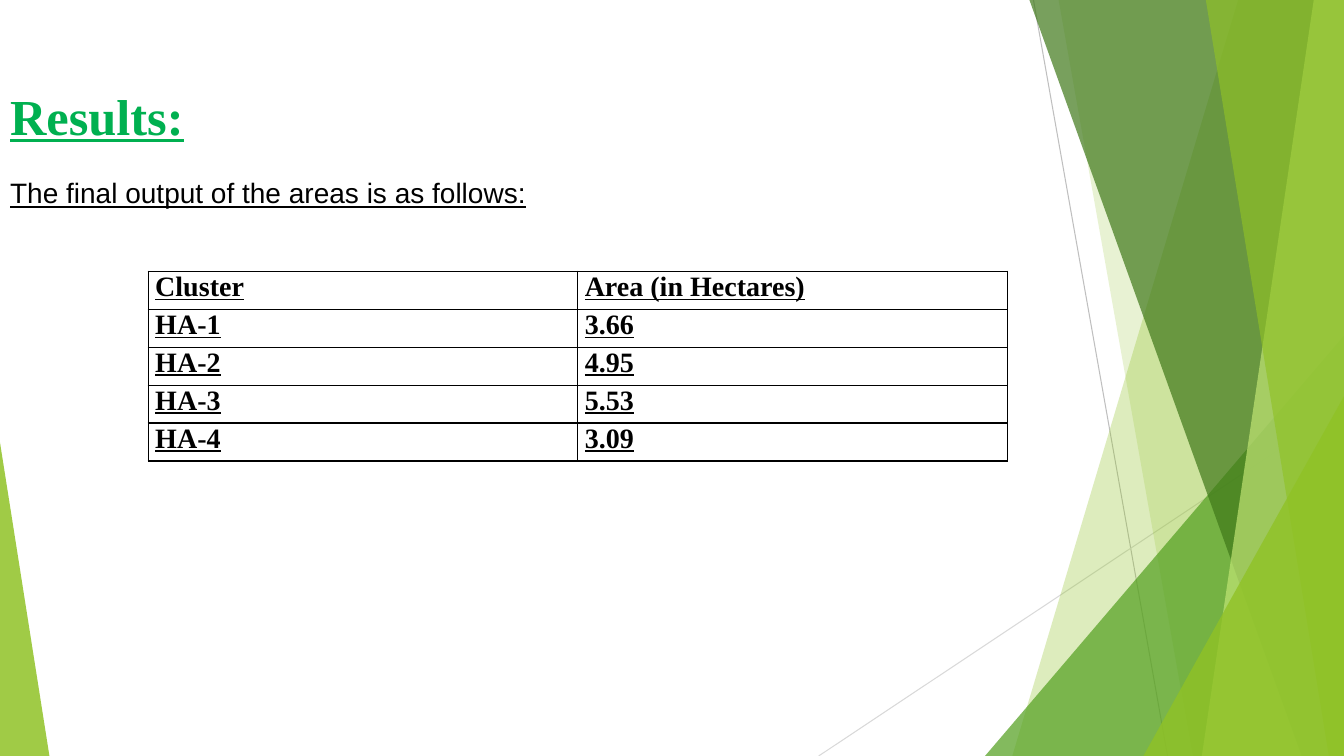
import pptx
import pptx.dml.color
import pptx.enum.shapes
import pptx.enum.text
import pptx.oxml
import pptx.oxml.ns
import pptx.util
import lxml.etree

Inches = pptx.util.Inches
Pt = pptx.util.Pt
qn = pptx.oxml.ns.qn
WIDTH, HEIGHT = 13.33, 7.5


def paint(color_format, hex_color, opacity=100):
    """Set a solid colour, with opacity in percent."""
    color_format.rgb = pptx.dml.color.RGBColor.from_string(hex_color)
    if opacity < 100:
        color_node = next(color_format._xFill.iter(qn("a:srgbClr")))
        lxml.etree.SubElement(color_node, qn("a:alpha"), val=str(opacity * 1000))


def write(text_frame, text, **font_values):
    """Write one left-aligned, underlined paragraph."""
    text_frame.text = text
    paragraph = text_frame.paragraphs[0]
    paragraph.alignment = pptx.enum.text.PP_ALIGN.LEFT
    paragraph.space_before = Pt(0)
    color = font_values.pop("color", "000000")
    font = paragraph.runs[0].font
    for name, value in {"underline": True, **font_values}.items():
        setattr(font, name, value)
    paint_target = font.fill
    paint_target.solid()
    paint(font.color, color)
    return paragraph


presentation = pptx.Presentation()
presentation.slide_width = Inches(WIDTH)
presentation.slide_height = Inches(HEIGHT)
slide = presentation.slides.add_slide(presentation.slide_layouts[1])
shapes = slide.shapes

# Thin lines behind the facets
for x1, y1, x2, y2, color in [
    (10.25, 0, 11.58, HEIGHT, "BFBFBF"),
    (WIDTH, 4.03, 8.12, HEIGHT, "D9D9D9"),
]:
    line = shapes.add_connector(
        pptx.enum.shapes.MSO_CONNECTOR.STRAIGHT,
        Inches(x1), Inches(y1), Inches(x2), Inches(y2))
    line.line.width = Pt(0.75)
    paint(line.line.color, color)
    lxml.etree.SubElement(line._element.spPr, qn("a:effectLst"))

# Facets, back to front: bands run from a top x to a bottom x and fill to the
# right edge; triangles stand on the bottom edge with the apex at one side
facets = [
    ("band", (12.28, 10.04), "90C226", 30),
    ("band", (10.5, 11.83), "90C226", 20),
    ("triangle", (9.77, 3.33, 3.56, 1), "54A021", 72),
    ("band", (10.21, 12.91), "3F7819", 70),
    ("band", (13.03, 11.92), "C0E474", 70),
    ("band", (11.96, 13.18), "90C226", 65),
    ("triangle", (11.34, 3.93, 1.99, 1), "90C226", 80),
    ("triangle", (0, 4.39, 0.49, 0), "90C226", 85),
]
for kind, geometry, color, opacity in facets:
    if kind == "band":
        top_x, bottom_x = geometry
        builder = shapes.build_freeform(Inches(top_x), 0)
        corners = [(WIDTH, 0), (WIDTH, HEIGHT), (bottom_x, HEIGHT)]
        builder.add_line_segments([(Inches(x), Inches(y)) for x, y in corners])
        facet = builder.convert_to_shape()
    else:
        left, top, width, apex = geometry
        facet = shapes.add_shape(
            pptx.enum.shapes.MSO_SHAPE.ISOSCELES_TRIANGLE,
            Inches(left), Inches(top), Inches(width), Inches(HEIGHT - top))
        facet.adjustments[0] = apex
    facet.shadow.inherit = False
    facet.line.fill.background()
    facet.fill.solid()
    paint(facet.fill.fore_color, color, opacity)

# Title and introductory sentence
title, body = shapes.title, slide.placeholders[1]
for placeholder, top, height in [(title, 0.79, 0.7), (body, 1.66, 0.5)]:
    placeholder.left, placeholder.top = 0, Inches(top)
    placeholder.width, placeholder.height = Inches(5.36), Inches(height)
    frame = placeholder.text_frame
    frame.word_wrap = False
    frame.auto_size = pptx.enum.text.MSO_AUTO_SIZE.NONE
    frame.vertical_anchor = pptx.enum.text.MSO_ANCHOR.MIDDLE
write(title.text_frame, "Results:", name="Times New Roman", size=Pt(36),
      bold=True, color="00B050")
sentence = write(body.text_frame, "The final output of the areas is as follows:",
                 name="Arial", size=Pt(20), bold=False)
properties = sentence._p.get_or_add_pPr()
properties.set("marL", "0")
properties.set("indent", "0")
lxml.etree.SubElement(properties, qn("a:buNone"))

# Table of areas
rows = [
    ("Cluster", "Area (in Hectares)"),
    ("HA-1", "3.66"),
    ("HA-2", "4.95"),
    ("HA-3", "5.53"),
    ("HA-4", "3.09"),
]
ROW_HEIGHT = 0.377
table = shapes.add_table(len(rows), 2, Inches(1.47), Inches(2.69),
                         Inches(8.52), Inches(ROW_HEIGHT * len(rows))).table
table.first_row = table.horz_banding = False
for row_index, row in enumerate(rows):
    for column_index, text in enumerate(row):
        cell = table.cell(row_index, column_index)
        cell.margin_left = cell.margin_right = Inches(0.07)
        cell.margin_top = cell.margin_bottom = 0
        write(cell.text_frame, text, name="Times New Roman", size=Pt(20), bold=True)
        cell_properties = cell._tc.get_or_add_tcPr()
        for side in ("lnL", "lnR", "lnT", "lnB"):
            border = lxml.etree.SubElement(
                cell_properties, qn(f"a:{side}"), w=str(Pt(1)))
            border_fill = lxml.etree.SubElement(border, qn("a:solidFill"))
            lxml.etree.SubElement(border_fill, qn("a:srgbClr"), val="000000")
        cell.fill.background()

presentation.save("out.pptx")
